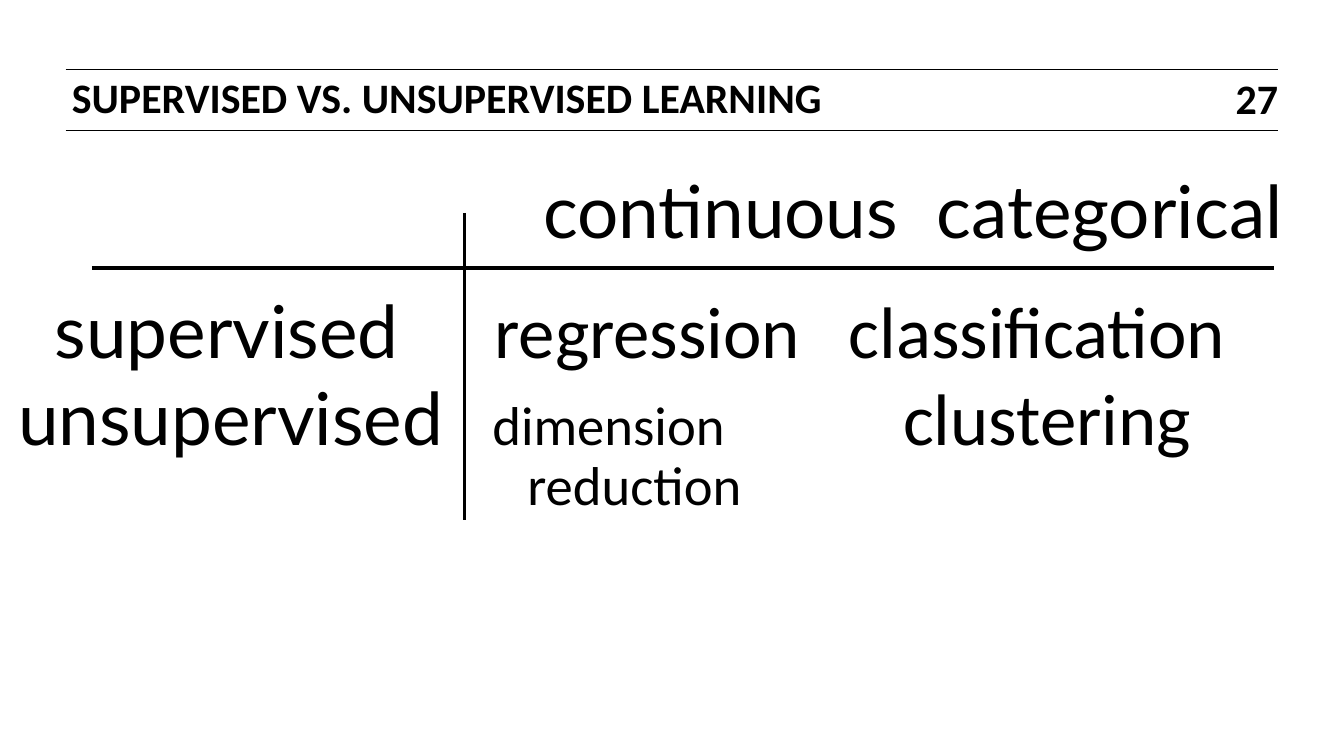
"""Build the slide that sorts learning methods by supervision and data type."""
from dataclasses import dataclass

import lxml.etree
import pptx
import pptx.dml.color
import pptx.enum.shapes
import pptx.enum.text
import pptx.oxml.ns
import pptx.util

Cm = pptx.util.Cm
Pt = pptx.util.Pt
Align = pptx.enum.text.PP_ALIGN
Anchor = pptx.enum.text.MSO_ANCHOR
AutoSize = pptx.enum.text.MSO_AUTO_SIZE
qn = pptx.oxml.ns.qn

CM_PER_INCH = 2.54


@dataclass(frozen=True)
class Theme:
    ink: str = "000000"
    heading_font: str = "Calibri"
    label_font: str = "Lato"
    heading_size: float = 23
    large_size: float = 40
    small_size: float = 30
    thin: float = 0.5
    thick: float = 2


THEME = Theme()


@dataclass(frozen=True)
class Span:
    text: str
    size: float = THEME.large_size
    font: str = THEME.label_font
    bold: bool = False


@dataclass(frozen=True)
class Para:
    spans: tuple[Span, ...]
    tabs: tuple[float, ...] = ()
    align: Align = Align.LEFT
    spacing: float | None = None


@dataclass(frozen=True)
class Box:
    place: tuple[float, float, float, float]
    paras: tuple[Para, ...]
    anchor: Anchor = Anchor.TOP
    wrap: bool = True
    fit: AutoSize = AutoSize.SHAPE_TO_FIT_TEXT
    insets: tuple[float, float, float, float] = (0.25, 0.13, 0.25, 0.13)


@dataclass(frozen=True)
class Rule:
    start: tuple[float, float]
    end: tuple[float, float]
    width: float


RULES = (
    Rule((1.27, 1.35), (24.74, 1.35), THEME.thin),
    Rule((1.27, 2.52), (24.74, 2.52), THEME.thin),
    Rule((8.99, 4.12), (8.99, 10.06), THEME.thick),
    Rule((1.78, 5.19), (24.65, 5.19), THEME.thick),
)

TITLE = Box(
    (1.14, 1.37, 17.78, 0.84),
    (Para((Span("SUPERVISED VS. UNSUPERVISED LEARNING", THEME.heading_size,
                THEME.heading_font, True),), spacing=24.5),),
    fit=AutoSize.NONE,
)

BOXES = (
    Box((24.03, 1.55, 0.71, 0.86),
        (Para((Span("27", THEME.heading_size, THEME.heading_font, True),),
              align=Align.RIGHT, spacing=23),),
        Anchor.MIDDLE, False, AutoSize.NONE, (0.18, 0.1, 0, 0.1)),
    Box((10.26, 3.07, 15.24, 3.68),
        (Para((Span("continuous\tcategorical"),), (7.62,)),)),
    Box((0.1, 5.39, 27.18, 3.68), (
        Para((Span("\tsupervised\t"),
              Span("regression\tclassification", font=THEME.heading_font)),
             (0.71, 9.22, 16.08)),
        Para((Span("unsupervised\t"),
              Span("dimension", THEME.small_size, THEME.heading_font),
              Span("\tclustering", font=THEME.heading_font)),
             (9.18, 17.13)),
    )),
    Box((9.83, 8.59, 4.9, 1.55),
        (Para((Span("reduction", THEME.small_size, THEME.heading_font),),
              align=Align.CENTER),), wrap=False),
)


def apply(target: object, values: dict[str, object]) -> None:
    """Set each named attribute of the target."""
    for name, value in values.items():
        setattr(target, name, value)


def fill_paragraph(paragraph: object, para: Para) -> None:
    """Write the tab stops, spacing and spans of one paragraph."""
    if para.tabs:
        properties = paragraph._p.get_or_add_pPr()
        stops = lxml.etree.SubElement(properties, qn("a:tabLst"))
        for stop in para.tabs:
            lxml.etree.SubElement(stops, qn("a:tab"), pos=str(int(Cm(stop))), algn="l")
    paragraph.alignment = para.align
    if para.spacing:
        paragraph.line_spacing = Pt(para.spacing)
    for span in para.spans:
        run = paragraph.add_run()
        run.text = span.text
        apply(run.font, {"name": span.font, "size": Pt(span.size), "bold": span.bold})
        run.font.color.rgb = pptx.dml.color.RGBColor.from_string(THEME.ink)


def fill_box(shape: object, box: Box) -> None:
    """Place a text shape and write its paragraphs."""
    apply(shape, dict(zip(("left", "top", "width", "height"), map(Cm, box.place))))
    frame = shape.text_frame
    apply(frame, {
        "word_wrap": box.wrap,
        "vertical_anchor": box.anchor,
        "auto_size": box.fit,
    })
    margins = ("margin_left", "margin_top", "margin_right", "margin_bottom")
    apply(frame, dict(zip(margins, map(Cm, box.insets))))
    for index, para in enumerate(box.paras):
        paragraph = frame.add_paragraph() if index else frame.paragraphs[0]
        fill_paragraph(paragraph, para)


def draw_rule(page: object, rule: Rule) -> None:
    """Draw one straight line without a shadow."""
    line = page.shapes.add_connector(
        pptx.enum.shapes.MSO_CONNECTOR.STRAIGHT, *map(Cm, rule.start + rule.end))
    line.line.width = Pt(rule.width)
    line.line.color.rgb = pptx.dml.color.RGBColor.from_string(THEME.ink)
    lxml.etree.SubElement(line._element.spPr, qn("a:effectLst"))


def main() -> None:
    """Build and save the deck."""
    deck = pptx.Presentation()
    deck.slide_width = Cm(10.24 * CM_PER_INCH)
    deck.slide_height = Cm(5.75 * CM_PER_INCH)
    page = deck.slides.add_slide(deck.slide_layouts[5])
    fill_box(page.shapes.title, TITLE)
    for rule in RULES:
        draw_rule(page, rule)
    for box in BOXES:
        fill_box(page.shapes.add_textbox(*map(Cm, box.place)), box)
    deck.save("out.pptx")


if __name__ == "__main__":
    main()
